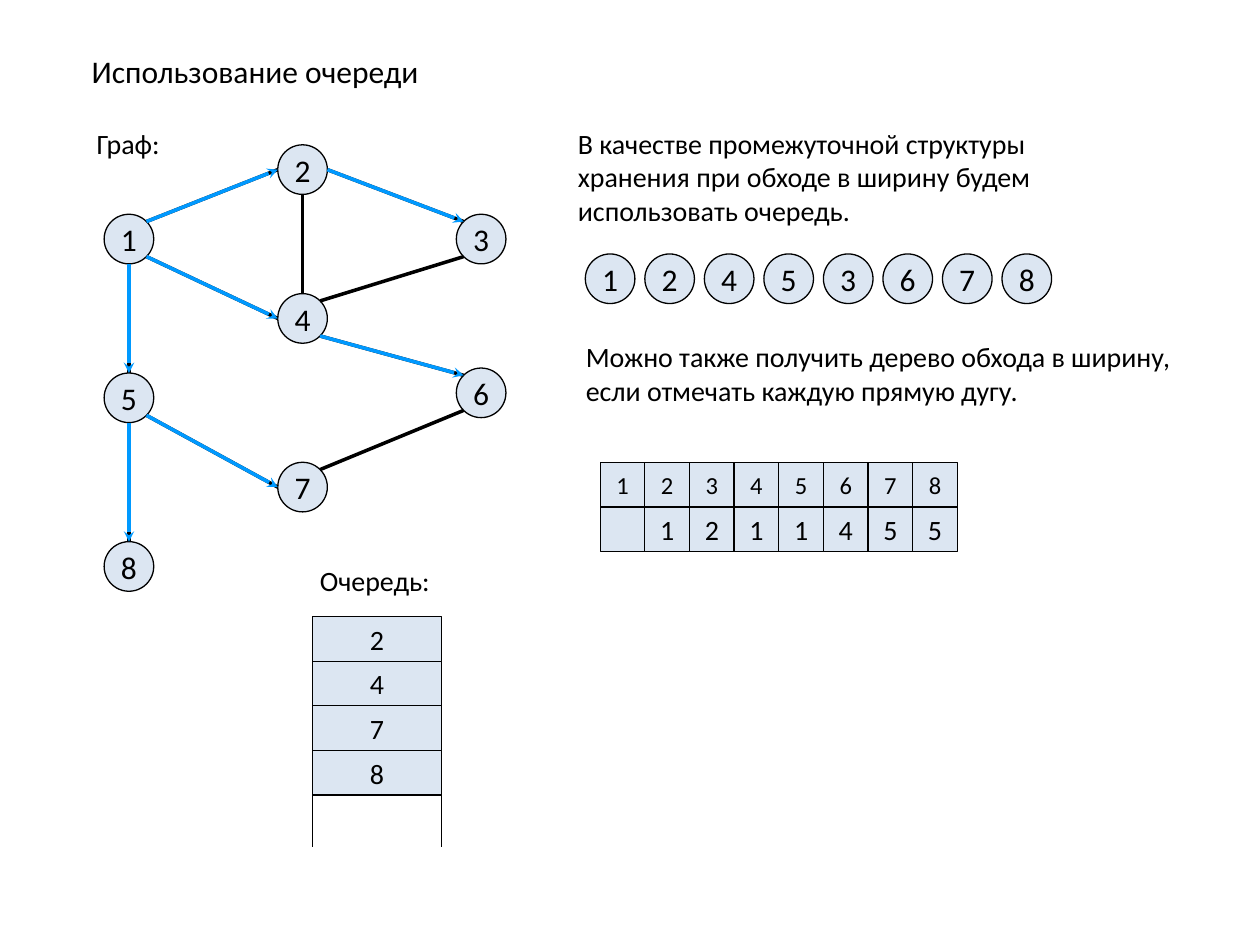
from lxml import etree
from pptx import Presentation
from pptx import util as u
from pptx.dml.color import RGBColor
from pptx.enum import shapes, text
from pptx.oxml import ns

COLORS = {"ink": "000000", "cell": "DCE6F2", "tree": "0099FF"}
FONT = "Calibri"

CAPTIONS = [
    (["Использование очереди"], 18, (1.6, 0.92, 7.72, 1.02)),
    (["В качестве промежуточной структуры\vхранения при обходе в ширину будем",
      "использовать очередь."], 16, (11.4, 2.42, 10.67, 2.29)),
    (["Граф:"], 16, (1.7, 2.42, 2.06, 0.94)),
    (["Можно также получить дерево обхода в ширину,\vесли отмечать каждую прямую дугу."],
     16, (11.56, 6.73, 13.54, 1.63)),
    (["Очередь:"], 16, (6.2, 11.23, 2.97, 0.94)),
]

NODES = {
    "1": (2.1, 4.32), "2": (5.6, 2.92), "3": (9.2, 4.32), "4": (5.6, 5.92),
    "5": (2.1, 7.52), "6": (9.2, 7.42), "7": (5.6, 9.32), "8": (2.1, 10.92),
}
TREE_EDGES = [
    ("1", "NE", "2", "W"), ("1", "SE", "4", "W"), ("1", "S", "5", "N"),
    ("2", "E", "3", "NW"), ("4", "SE", "6", "NW"),
    ("5", "SE", "7", "W"), ("5", "S", "8", "N"),
]
OTHER_EDGES = [("2", "S", "4", "N"), ("4", "NE", "3", "SW"), ("6", "SW", "7", "NE")]

VISIT_ORDER = ["1", "2", "4", "5", "3", "6", "7", "8"]
PARENTS = {"1": "", "2": "1", "3": "2", "4": "1", "5": "1", "6": "4", "7": "5", "8": "5"}
QUEUE = ["2", "4", "7", "8"]

NODE_SIZE = 1.0
CELL = 0.9
VISIT_LEFT, VISIT_TOP, VISIT_STEP = 11.8, 5.12, 1.2
PARENT_LEFT, PARENT_TOP = 12.1, 9.32
QUEUE_LEFT, QUEUE_TOP, QUEUE_WIDTH, QUEUE_BOTTOM = 6.3, 12.43, 2.6, 17.07

deck = Presentation()
deck.slide_width, deck.slide_height = u.Cm(25.4), u.Cm(19.05)
page = deck.slides.add_slide(deck.slide_layouts[6])


def color(name):
    return RGBColor.from_string(COLORS[name])


def write(box, paragraphs, size=18, align=text.PP_ALIGN.LEFT, anchor=text.MSO_ANCHOR.TOP):
    frame = box.text_frame
    frame.word_wrap = False
    frame.vertical_anchor = anchor
    for index, content in enumerate(paragraphs):
        para = frame.add_paragraph() if index else frame.paragraphs[0]
        para.alignment = align
        for part, line in enumerate(content.split("\v")):
            if part:
                para.add_line_break()
            span = para.add_run()
            span.text = line
            span.font.name, span.font.size = FONT, u.Pt(size)
            span.font.color.rgb = color("ink")


def add_label(kind, left, top, width, height, label, size):
    shape = page.shapes.add_shape(kind, u.Cm(left), u.Cm(top), u.Cm(width), u.Cm(height))
    shape.shadow.inherit = False
    shape.fill.solid()
    shape.fill.fore_color.rgb = color("cell")
    shape.line.color.rgb = color("ink")
    shape.line.width = u.Pt(0.75)
    if label:
        write(shape, [label], size=size, align=text.PP_ALIGN.CENTER,
              anchor=text.MSO_ANCHOR.MIDDLE)


def add_node(label, left, top):
    add_label(shapes.MSO_SHAPE.OVAL, left, top, NODE_SIZE, NODE_SIZE, label, 18)


def add_cell(label, left, top, width=CELL, size=16):
    add_label(shapes.MSO_SHAPE.RECTANGLE, left, top, width, CELL, label, size)


def add_line(start, end, ink="ink", weight=2, arrow=False):
    line = page.shapes.add_connector(
        shapes.MSO_CONNECTOR.STRAIGHT, *(u.Cm(value) for value in (*start, *end)))
    line.line.color.rgb = color(ink)
    line.line.width = u.Pt(weight)
    if arrow:
        etree.SubElement(line.line._get_or_add_ln(), ns.qn("a:tailEnd"), type="stealth")
    etree.SubElement(line._element.spPr, ns.qn("a:effectLst"))


def rim_point(node, side):
    dx = ("E" in side) - ("W" in side)
    dy = ("S" in side) - ("N" in side)
    reach = NODE_SIZE / 2 / (dx * dx + dy * dy) ** 0.5
    left, top = NODES[node]
    return left + NODE_SIZE / 2 + dx * reach, top + NODE_SIZE / 2 + dy * reach


def add_edges(edges, **style):
    for source, leave, target, enter in edges:
        add_line(rim_point(source, leave), rim_point(target, enter), **style)


for paragraphs, size, place in CAPTIONS:
    caption = page.shapes.add_textbox(*(u.Cm(value) for value in place))
    write(caption, paragraphs, size=size)
    caption.text_frame.auto_size = text.MSO_AUTO_SIZE.SHAPE_TO_FIT_TEXT

for label, (left, top) in NODES.items():
    add_node(label, left, top)
add_edges(OTHER_EDGES + TREE_EDGES)

for index, label in enumerate(VISIT_ORDER):
    add_node(label, VISIT_LEFT + index * VISIT_STEP, VISIT_TOP)

for index, (label, parent) in enumerate(PARENTS.items()):
    left = PARENT_LEFT + index * CELL
    add_cell(label, left, PARENT_TOP, size=14)
    add_cell(parent, left, PARENT_TOP + CELL)

for left in (QUEUE_LEFT, QUEUE_LEFT + QUEUE_WIDTH):
    add_line((left, QUEUE_TOP), (left, QUEUE_BOTTOM), weight=0.75)
for index, label in enumerate(QUEUE):
    add_cell(label, QUEUE_LEFT, QUEUE_TOP + index * CELL, width=QUEUE_WIDTH)

add_edges(TREE_EDGES, ink="tree", arrow=True)

deck.save("out.pptx")
